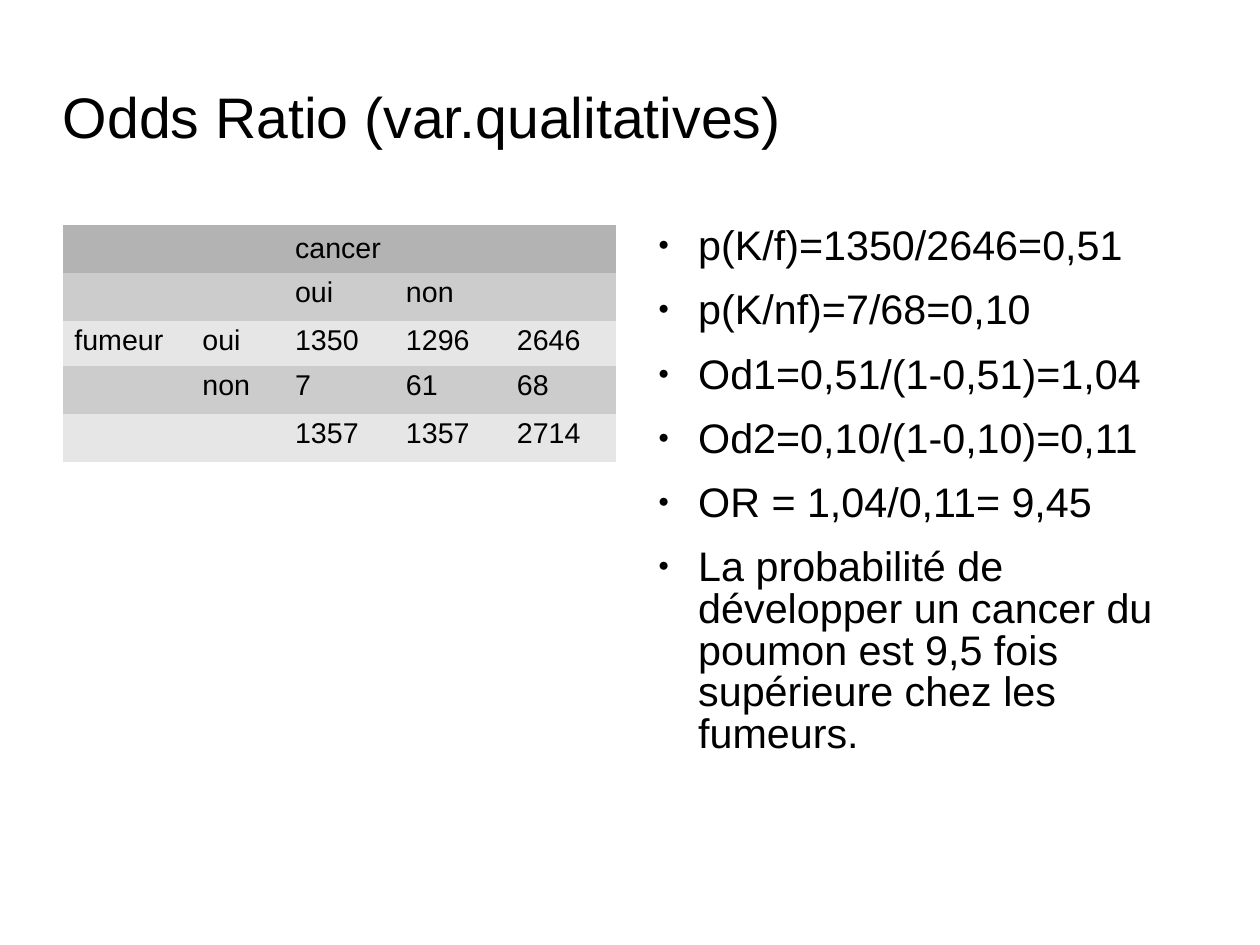
import pptx
import pptx.dml.color
import pptx.enum.text
import pptx.oxml
import pptx.oxml.ns
import pptx.util

COLOURS = {"text": "000000", "header": "B3B3B3", "dark": "CCCCCC", "light": "E6E6E6"}
SLIDE_SIZE = (pptx.util.Cm(28), pptx.util.Cm(21))
TITLE_BOX = (5, 7.62, 71.42, 9.55)
TABLE_BOX = (5, 23.81, 43.92, 22.5)
BODY_BOX = (51.15, 23.81, 43.92, 57.92)

TITLE = "Odds Ratio (var.qualitatives)"
COLUMN_SHARES = [10.16, 7.36, 8.8, 8.8, 8.8]
ROW_SHARES = [5.08, 5.08, 4.76, 5.08, 5.08]
ROW_FILLS = ["header", "dark", "light", "dark", "light"]
CONTINGENCY = [
    ["", "", "cancer", "", ""],
    ["", "", "oui", "non", ""],
    ["fumeur", "oui", "1350", "1296", "2646"],
    ["", "non", "7", "61", "68"],
    ["", "", "1357", "1357", "2714"],
]
CALCULATIONS = [
    "p(K/f)=1350/2646=0,51",
    "p(K/nf)=7/68=0,10",
    "Od1=0,51/(1-0,51)=1,04",
    "Od2=0,10/(1-0,10)=0,11",
    "OR = 1,04/0,11= 9,45",
    "La probabilité de développer un cancer du poumon est 9,5 fois supérieure chez les fumeurs.",
]
BULLET_PARTS = [
    f'<a:buClr %s><a:srgbClr val="{COLOURS["text"]}"/></a:buClr>',
    '<a:buSzPct %s val="45000"/>',
    '<a:buFont %s typeface="Arial"/>',
    '<a:buChar %s char="●"/>',
]
NO_GRID_STYLE = "{2D5ABB26-0587-4C30-8999-92F81FD0307C}"


def colour(name):
    """Return the named colour."""
    return pptx.dml.color.RGBColor.from_string(COLOURS[name])


def set_attributes(target, values):
    """Set each attribute of the target from a dict."""
    for name, value in values.items():
        setattr(target, name, value)


def to_length(share, side):
    """Turn a percentage of a slide side into a length."""
    return pptx.util.Emu(int(share / 100 * side))


def to_lengths(box):
    """Turn a box in percent of the slide into left, top, width and height."""
    return [to_length(share, side) for share, side in zip(box, SLIDE_SIZE * 2)]


def format_paragraph(paragraph, size, **values):
    """Give a paragraph its font and spacing."""
    set_attributes(paragraph, {"alignment": pptx.enum.text.PP_ALIGN.LEFT, **values})
    set_attributes(paragraph.font, {"name": "Arial", "size": pptx.util.Pt(size)})
    paragraph.font.color.rgb = colour("text")


def place_placeholder(shape, box, anchor, top_inset):
    """Move a placeholder to its box and set up its text frame."""
    set_attributes(shape, dict(zip(("left", "top", "width", "height"), to_lengths(box))))
    set_attributes(shape.text_frame, {
        "margin_left": 0,
        "margin_right": 0,
        "margin_top": pptx.util.Inches(top_inset),
        "margin_bottom": 0,
        "word_wrap": True,
        "auto_size": pptx.enum.text.MSO_AUTO_SIZE.NONE,
        "vertical_anchor": anchor,
    })


def fill_title(shape, box):
    """Write the slide title."""
    place_placeholder(shape, box, pptx.enum.text.MSO_ANCHOR.MIDDLE, 0.03)
    shape.text_frame.text = TITLE
    format_paragraph(shape.text_frame.paragraphs[0], 36, line_spacing=0.94)


def fill_calculations(shape, box):
    """Write the bulleted calculations."""
    place_placeholder(shape, box, pptx.enum.text.MSO_ANCHOR.TOP, 0.02)
    shape.text_frame.text = "\n".join(CALCULATIONS)
    for paragraph in shape.text_frame.paragraphs:
        properties = paragraph._p.get_or_add_pPr()
        properties.set("marL", str(pptx.util.Inches(0.47)))
        properties.set("indent", str(pptx.util.Inches(-0.35)))
        for part in BULLET_PARTS:
            properties.append(pptx.oxml.parse_xml(part % pptx.oxml.ns.nsdecls("a")))
        format_paragraph(
            paragraph, 26, line_spacing=0.84,
            space_before=pptx.util.Pt(0), space_after=pptx.util.Pt(14.3),
        )


def add_contingency_table(slide, box):
    """Draw the smoking and cancer table in its box."""
    frame = slide.shapes.add_table(
        len(ROW_SHARES), len(COLUMN_SHARES), *to_lengths(box)
    )
    for style in frame.element.iter(pptx.oxml.ns.qn("a:tableStyleId")):
        style.text = NO_GRID_STYLE
    table = frame.table
    set_attributes(table, {"first_row": False, "horz_banding": False})
    for column, share in zip(table.columns, COLUMN_SHARES):
        column.width = to_length(share, SLIDE_SIZE[0])
    for row, share, fill, texts in zip(table.rows, ROW_SHARES, ROW_FILLS, CONTINGENCY):
        row.height = to_length(share, SLIDE_SIZE[1])
        for cell, text in zip(row.cells, texts):
            cell.fill.solid()
            cell.fill.fore_color.rgb = colour(fill)
            cell.text = text
            format_paragraph(cell.text_frame.paragraphs[0], 18, line_spacing=0.94)
    cancer = table.cell(0, 2)
    cancer.merge(table.cell(0, 3))
    cancer.vertical_anchor = pptx.enum.text.MSO_ANCHOR.MIDDLE


def main():
    """Build and save the presentation."""
    presentation = pptx.Presentation()
    width, height = SLIDE_SIZE
    set_attributes(presentation, {"slide_width": width, "slide_height": height})
    slide = presentation.slides.add_slide(presentation.slide_layouts[1])
    fill_title(slide.shapes.title, TITLE_BOX)
    add_contingency_table(slide, TABLE_BOX)
    fill_calculations(slide.placeholders[1], BODY_BOX)
    presentation.save("out.pptx")


if __name__ == "__main__":
    main()
